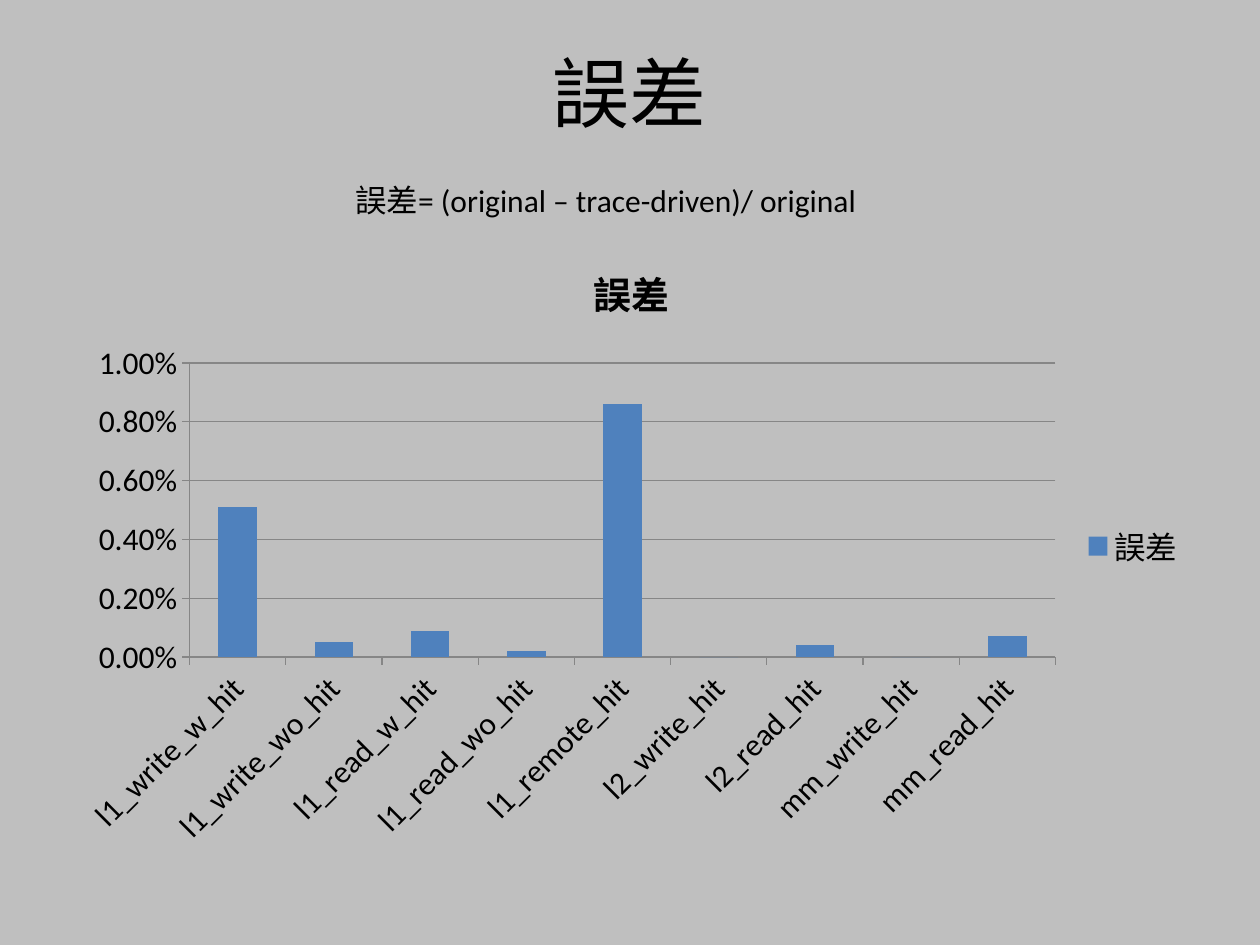
import pptx
import pptx.chart.data
import pptx.dml.color
import pptx.enum.chart
import pptx.enum.text
import pptx.util
from dataclasses import dataclass

Inches = pptx.util.Inches
Pt = pptx.util.Pt
RGB = pptx.dml.color.RGBColor.from_string


@dataclass(frozen=True)
class Theme:
    font: str = "Calibri"
    background: str = "BFBFBF"
    ink: str = "000000"
    bar: str = "4F81BD"
    rule: str = "868686"
    heading: float = 44
    body: float = 18
    chart_heading: float = 21.6


THEME = Theme()
METRIC = "誤差"
ERROR_RATES = {
    "l1_write_w_hit": 0.0051,
    "l1_write_wo_hit": 0.0005,
    "l1_read_w_hit": 0.0009,
    "l1_read_wo_hit": 0.0002,
    "l1_remote_hit": 0.0086,
    "l2_write_hit": 0,
    "l2_read_hit": 0.0004,
    "mm_write_hit": 0,
    "mm_read_hit": 0.0007,
}


def apply(target, values):
    for name, value in values.items():
        setattr(target, name, value)


def style_font(font, size, bold=False):
    apply(font, {"name": THEME.font, "size": Pt(size), "bold": bold})
    font.color.rgb = RGB(THEME.ink)


def place_text(slide, box, wording, size, align, anchor):
    frame = slide.shapes.add_textbox(*map(Inches, box)).text_frame
    apply(frame, {"word_wrap": True, "vertical_anchor": anchor})
    paragraph = frame.paragraphs[0]
    paragraph.alignment = align
    run = paragraph.add_run()
    run.text = wording
    style_font(run.font, size)


def place_error_chart(slide, box):
    rates = pptx.chart.data.CategoryChartData(number_format="0.00%")
    rates.categories = list(ERROR_RATES)
    rates.add_series(METRIC, list(ERROR_RATES.values()))
    chart = slide.shapes.add_chart(
        pptx.enum.chart.XL_CHART_TYPE.COLUMN_CLUSTERED, *map(Inches, box), rates
    ).chart
    style_font(chart.font, THEME.body)

    chart.has_title = True
    heading = chart.chart_title.text_frame.paragraphs[0].add_run()
    heading.text = METRIC
    style_font(heading.font, THEME.chart_heading, bold=True)

    chart.has_legend = True
    apply(chart.legend, {
        "position": pptx.enum.chart.XL_LEGEND_POSITION.RIGHT,
        "include_in_layout": False,
    })

    bars = chart.plots[0]
    apply(bars, {"gap_width": 150, "vary_by_categories": False})
    bar_fill = bars.series[0].format.fill
    bar_fill.solid()
    bar_fill.fore_color.rgb = RGB(THEME.bar)

    rate_axis, hit_axis = chart.value_axis, chart.category_axis
    apply(rate_axis, {
        "minimum_scale": 0,
        "maximum_scale": 0.01,
        "major_unit": 0.002,
        "has_major_gridlines": True,
    })
    apply(rate_axis.tick_labels, {
        "number_format": "0.00%",
        "number_format_is_linked": False,
    })
    hit_axis.has_major_gridlines = False
    for axis in (rate_axis, hit_axis):
        axis.major_tick_mark = pptx.enum.chart.XL_TICK_MARK.OUTSIDE
    for ruled in (rate_axis, hit_axis, rate_axis.major_gridlines):
        ruled.format.line.color.rgb = RGB(THEME.rule)
        ruled.format.line.width = Pt(0.75)


def build_error_slide(deck):
    slide = deck.slides.add_slide(deck.slide_layouts[6])
    backdrop = slide.background.fill
    backdrop.solid()
    backdrop.fore_color.rgb = RGB(THEME.background)

    align, anchor = pptx.enum.text.PP_ALIGN, pptx.enum.text.MSO_ANCHOR
    place_text(slide, (0.5, 0.3, 9, 0.85), METRIC, THEME.heading,
               align.CENTER, anchor.MIDDLE)
    place_error_chart(slide, (0.51, 1.86, 9, 4.95))
    place_text(slide, (2.72, 1.39, 4.88, 0.4),
               f"{METRIC}= (original – trace-driven)/ original",
               THEME.body, align.LEFT, anchor.TOP)


deck = pptx.Presentation()
apply(deck, {"slide_width": Inches(10), "slide_height": Inches(7.5)})
build_error_slide(deck)
deck.save("out.pptx")
